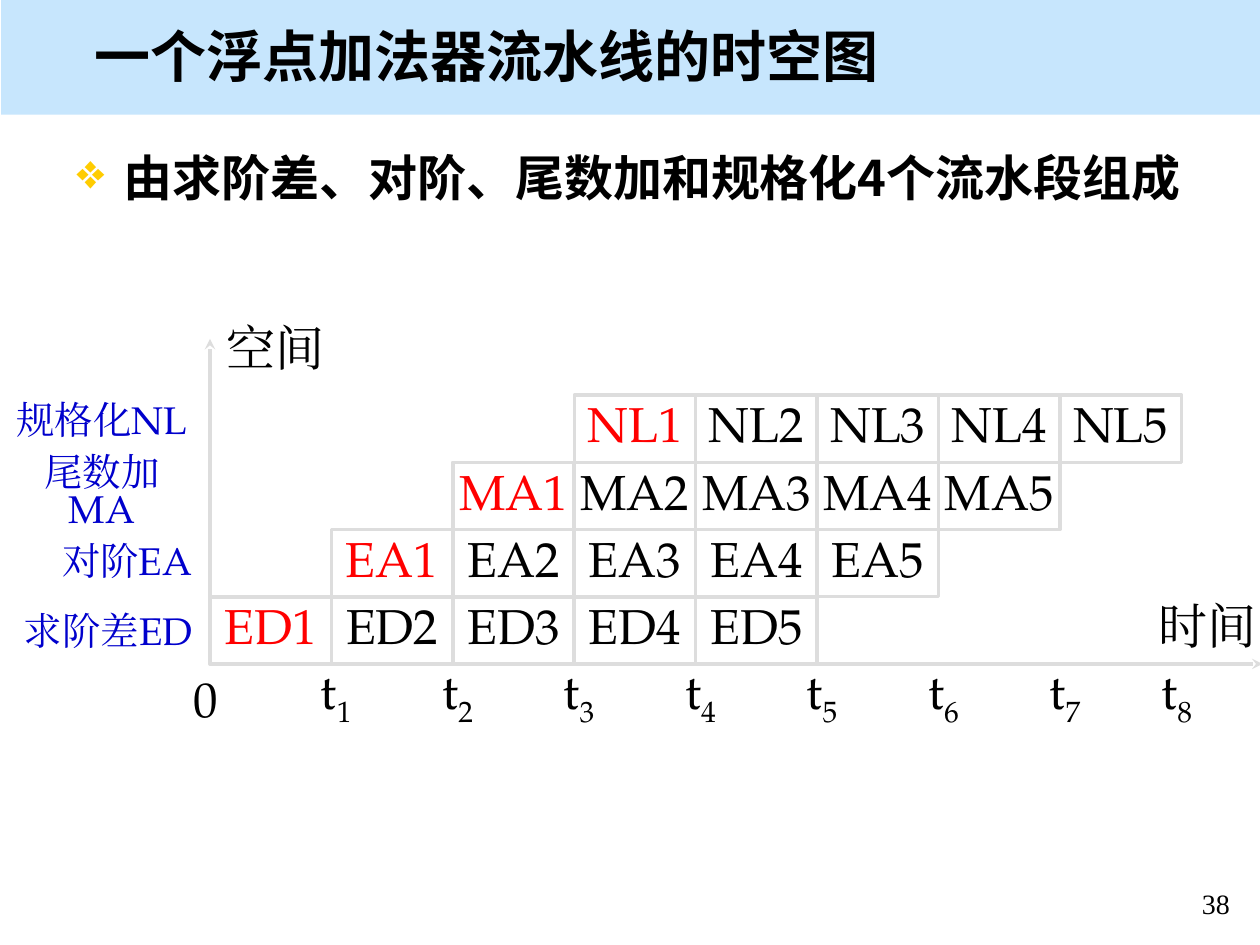
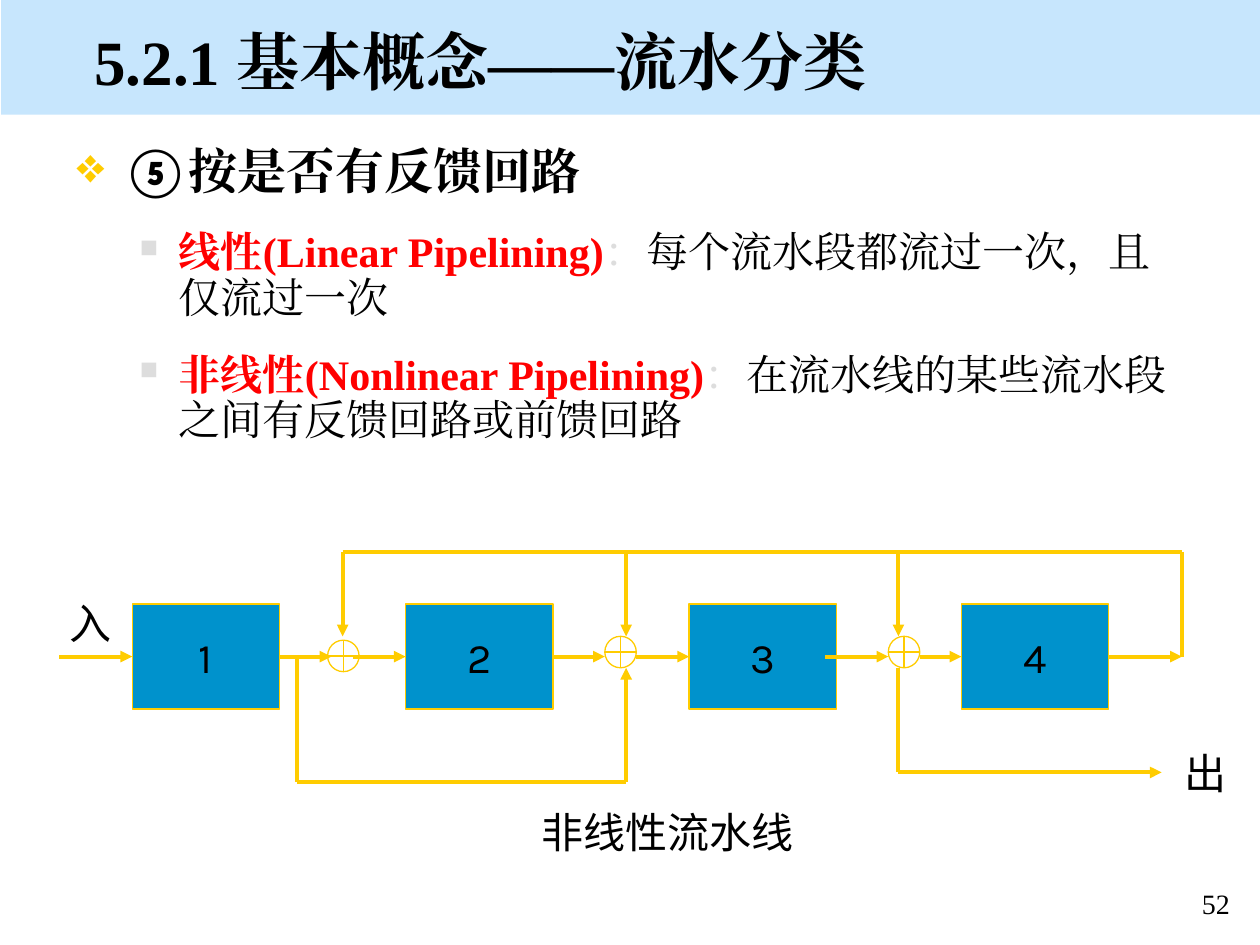
"""Builds two lecture slides on pipelines: a space-time chart and a nonlinear pipeline."""
from dataclasses import dataclass
from typing import NamedTuple, Optional

from lxml import etree
from pptx import Presentation
from pptx.dml.color import RGBColor
from pptx.enum import shapes as sh
from pptx.enum import text as tx
from pptx.oxml import ns
from pptx.util import Pt


@dataclass(frozen=True)
class Theme:
    """Colours, fonts and type sizes shared by the slides."""
    band: str = "C7E6FD"
    ink: str = "000000"
    red: str = "FF0000"
    blue: str = "0000CC"
    grey: str = "DDDDDD"
    gold: str = "FFCC00"
    block: str = "0092CC"
    sans: str = "Noto Sans CJK SC"
    serif: str = "Times New Roman"
    chart: str = "TeX Gyre Pagella"
    diagram: str = "Karla"
    numeral: str = "Calibri"
    number: float = 16
    label: float = 22
    text: float = 24
    body: float = 28
    subscript: float = 29
    title: float = 32
    section: float = 36


T = Theme()
CENTER, LEFT, RIGHT = tx.PP_ALIGN.CENTER, tx.PP_ALIGN.LEFT, tx.PP_ALIGN.RIGHT
TOP, MIDDLE, BOTTOM = tx.MSO_ANCHOR.TOP, tx.MSO_ANCHOR.MIDDLE, tx.MSO_ANCHOR.BOTTOM


class Box(NamedTuple):
    """A rectangle in points."""
    x: float
    y: float
    w: float
    h: float


class Run(NamedTuple):
    """A piece of text with its look."""
    text: str
    size: float
    font: str
    color: str = T.ink
    bold: bool = False
    baseline: int = 0


class Bullet(NamedTuple):
    """The bullet and indents of a list level."""
    char: str
    color: str
    level: int
    margin: float
    hanging: float
    percent: int = 100


class Wire(NamedTuple):
    """A straight line, joined to the numbered blocks it leaves or reaches."""
    x1: float
    y1: float
    x2: float
    y2: float
    arrow: bool = True
    source: Optional[int] = None
    target: Optional[int] = None


TOPIC = Bullet("❖", T.gold, 0, 27, 27)
DETAIL = Bullet("■", T.grey, 1, 58.5, 22.5, 60)


def sub(parent, tag: str, **attrs):
    """Appends a DrawingML child element."""
    child = etree.SubElement(parent, ns.qn(tag))
    for key, value in attrs.items():
        child.set(key, str(value))
    return child


def add_runs(p, runs: list[Run]) -> None:
    """Adds formatted runs to a paragraph."""
    for run in runs:
        r = p.add_run()
        r.text = run.text
        r.font.size = Pt(run.size)
        r.font.bold = run.bold
        r.font.color.rgb = RGBColor.from_string(run.color)
        r.font.name = run.font
        rpr = r._r.get_or_add_rPr()
        sub(rpr, "a:ea", typeface=run.font)
        if run.baseline:
            rpr.set("baseline", str(run.baseline))


def write(s, runs: list[Run], align=LEFT, anchor=TOP, wrap: bool = False,
          spacing: Optional[float] = None) -> None:
    """Writes one paragraph into a shape."""
    tf = s.text_frame
    tf.word_wrap = wrap
    tf.vertical_anchor = anchor
    p = tf.paragraphs[0]
    p.alignment = align
    if spacing:
        p.line_spacing = spacing
    add_runs(p, runs)


def add_text(slide, box: Box, runs: list[Run], **options):
    """Adds a text box with one paragraph."""
    s = slide.shapes.add_textbox(*map(Pt, box))
    write(s, runs, **options)
    return s


def add_shape(slide, box: Box, kind=sh.MSO_SHAPE.RECTANGLE, fill: Optional[str] = None,
              line: Optional[str] = None, weight: float = 0.75):
    """Adds a preset shape with an optional fill and outline."""
    s = slide.shapes.add_shape(kind, *map(Pt, box))
    s.shadow.inherit = False
    if fill:
        s.fill.solid()
        s.fill.fore_color.rgb = RGBColor.from_string(fill)
    else:
        s.fill.background()
    if line:
        s.line.color.rgb = RGBColor.from_string(line)
        s.line.width = Pt(weight)
    else:
        s.line.fill.background()
    return s


def add_line(slide, wire: Wire, color: str, weight: float, head: str):
    """Adds a straight connector, with an arrowhead if the wire has one."""
    c = slide.shapes.add_connector(sh.MSO_CONNECTOR.STRAIGHT, *map(Pt, wire[:4]))
    c.line.color.rgb = RGBColor.from_string(color)
    c.line.width = Pt(weight)
    if wire.arrow:
        sub(c.line._get_or_add_ln(), "a:tailEnd", type=head)
    sub(c._element.spPr, "a:effectLst")
    return c


def add_list(slide, box: Box, items: list[tuple[Bullet, list[Run]]],
             spacing: Optional[float] = None) -> None:
    """Adds a bulleted list."""
    tf = slide.shapes.add_textbox(*map(Pt, box)).text_frame
    tf.word_wrap = True
    for i, (bullet, runs) in enumerate(items):
        p = tf.add_paragraph() if i else tf.paragraphs[0]
        p.level = bullet.level
        ppr = p._p.get_or_add_pPr()
        ppr.set("marL", str(Pt(bullet.margin)))
        ppr.set("indent", str(-Pt(bullet.hanging)))
        sub(sub(ppr, "a:buClr"), "a:srgbClr", val=bullet.color)
        sub(ppr, "a:buSzPct", val=bullet.percent * 1000)
        sub(ppr, "a:buChar", char=bullet.char)
        if i:
            p.space_before = Pt(18)
        if spacing:
            p.line_spacing = spacing
        add_runs(p, runs)


def new_slide(prs, title: Run, top: float, anchor, number: int):
    """Adds a slide with the title band, title and slide number."""
    slide = prs.slides.add_slide(prs.slide_layouts[6])
    add_shape(slide, Box(0.7, 0, 719.3, 65.5), fill=T.band)
    add_text(slide, Box(669.6, 503.3, 50.4, 23.8),
             [Run(str(number), T.number, T.serif)], align=CENTER, wrap=True)
    add_text(slide, Box(46.8, top, 617.8, 48.2), [title], anchor=anchor, wrap=True)
    return slide


def chart_text(s, runs: list[Run], align=CENTER) -> None:
    """Writes a tight, vertically centred chart label."""
    tf = s.text_frame
    tf.margin_left = tf.margin_right = Pt(5.8)
    tf.margin_top = tf.margin_bottom = Pt(2.9)
    write(s, runs, align=align, anchor=MIDDLE, spacing=0.8)


def chart_label(slide, box: Box, runs: list[Run], align=CENTER) -> None:
    """Adds a free label to the chart."""
    chart_text(slide.shapes.add_textbox(*map(Pt, box)), runs, align)


def space_time_slide(prs) -> None:
    """Draws the space-time chart of the floating-point adder."""
    slide = new_slide(prs, Run("一个浮点加法器流水线的时空图", T.title, T.sans, bold=True),
                      5.8, BOTTOM, 38)
    add_list(slide, Box(36.7, 80.6, 648, 54.7), [
        (TOPIC, [Run("由求阶差、对阶、尾数加和规格化4个流水段组成", T.body, T.sans, bold=True)])])

    x0, y0, w, h = 120, 379.4, 69.4, 38.4
    stages = [("求阶差", "ED", RIGHT), ("对阶", "EA", RIGHT),
              ("尾数加", "MA", CENTER), ("规格化", "NL", CENTER)]
    for row, (name, code, align) in enumerate(stages):
        for task in range(5):
            s = add_shape(slide, Box(x0 + w * (row + task), y0 - h * (row + 1), w, h),
                          line=T.grey, weight=2)
            color = T.ink if task else T.red
            chart_text(s, [Run(f"{code}{task + 1}", T.body, T.chart, color)])
        chart_label(slide, Box(0.7, 343.4 - 40.1 * row, 115, 38.2),
                    [Run(name + code, T.label, T.chart, T.blue)], align)

    for axis in (Wire(x0, y0, 721.4, y0), Wire(x0, y0, x0, 193.7)):
        add_line(slide, axis, T.grey, 2, "stealth")
    for word, x, y in (("时间", 652.3, 341.3), ("空间", 120.2, 182.2)):
        chart_label(slide, Box(x, y, 74.9, 38.2), [Run(word, T.body, T.chart)])
    chart_label(slide, Box(97.2, 385.2, 40.3, 33.1), [Run("0", T.body, T.chart)])
    for tick in range(1, 9):
        x = min(x0 - 17.4 + w * tick, 652.3)
        chart_label(slide, Box(x, y0, 40.3, 33.1), [
            Run("t", T.body, T.chart),
            Run(str(tick), T.subscript, T.chart, baseline=-25000)])


def kind_item(name: str, meaning: str) -> tuple[Bullet, list[Run]]:
    """Describes one kind of pipeline as a list item."""
    return DETAIL, [Run(name, T.text, T.serif, T.red, True),
                    Run("：", T.text, T.serif, T.grey),
                    Run(meaning, T.text, T.serif)]


def feedback_slide(prs) -> None:
    """Draws the pipeline with feedback and feed-forward paths."""
    slide = new_slide(prs, Run("5.2.1 基本概念——流水分类", T.section, T.serif, bold=True),
                      9.4, TOP, 52)
    add_list(slide, Box(36.7, 80.6, 648, 188.6), [
        (TOPIC, [Run("⑤", T.body, T.numeral, bold=True),
                 Run("按是否有反馈回路", T.body, T.serif, bold=True)]),
        kind_item("线性(Linear Pipelining)", "每个流水段都流过一次，且仅流过一次"),
        kind_item("非线性(Nonlinear Pipelining)",
                  "在流水线的某些流水段之间有反馈回路或前馈回路")], 0.9)

    w, h, mid = 84.2, 60, 375.2
    lefts = [75.6, 231.8, 393.8, 549.4]
    blocks = []
    for i, x in enumerate(lefts):
        s = add_shape(slide, Box(x, mid - h / 2, w, h), fill=T.block, line=T.gold)
        write(s, [Run(str(i + 1), T.text, T.diagram)], align=CENTER, anchor=MIDDLE)
        blocks.append(s)
    for x, y in ((187.2, 365.8), (345.6, 363.6), (507.6, 363.6)):
        add_shape(slide, Box(x, y, 18, 18), sh.MSO_SHAPE.FLOWCHART_OR, line=T.gold)

    high, low, exit_y, end = 315.4, 447.1, 441.4, 675.4
    drops = [195.8, 357.8, 513.4]
    branch = 169.9
    rights = [x + w for x in lefts]
    wires = [
        Wire(33.8, mid, lefts[0], mid, target=0),
        Wire(rights[0], mid, 189.4, mid, source=0),
        Wire(201.6, mid, lefts[1], mid, target=1),
        Wire(rights[1], mid, 345.6, mid, source=1),
        Wire(363.6, mid, lefts[2], mid, target=2),
        Wire(471.6, mid, 507.6, mid),
        Wire(525.6, mid, lefts[3], mid, target=3),
        Wire(rights[3], mid, end, mid, source=3),
        *(Wire(x, high, x, 363.6) for x in drops),
        Wire(drops[0], high, end, high, False),
        Wire(end, high, end, mid, False),
        Wire(drops[2], 381.6, drops[2], exit_y, False),
        Wire(drops[2], exit_y, 663.8, exit_y),
        Wire(branch, mid, branch, low, False),
        Wire(branch, low, drops[1], low, False),
        Wire(drops[1], low, drops[1], 381.6),
    ]
    for wire in wires:
        c = add_line(slide, wire, T.gold, 2.25, "triangle")
        if wire.source is not None:
            c.begin_connect(blocks[wire.source], 3)
        if wire.target is not None:
            c.end_connect(blocks[wire.target], 1)

    for word, x, y, width in (("入", 32.4, 337.7, 38.2), ("出", 669.6, 423.4, 38.2),
                              ("非线性流水线", 302.4, 457.2, 158.4)):
        s = add_text(slide, Box(x, y, width, 36), [Run(word, T.text, T.diagram)])
        s.text_frame.auto_size = tx.MSO_AUTO_SIZE.SHAPE_TO_FIT_TEXT


def main() -> None:
    """Builds and saves the presentation."""
    prs = Presentation()
    prs.slide_width, prs.slide_height = Pt(720), Pt(540)
    space_time_slide(prs)
    feedback_slide(prs)
    prs.save("out.pptx")


if __name__ == "__main__":
    main()
